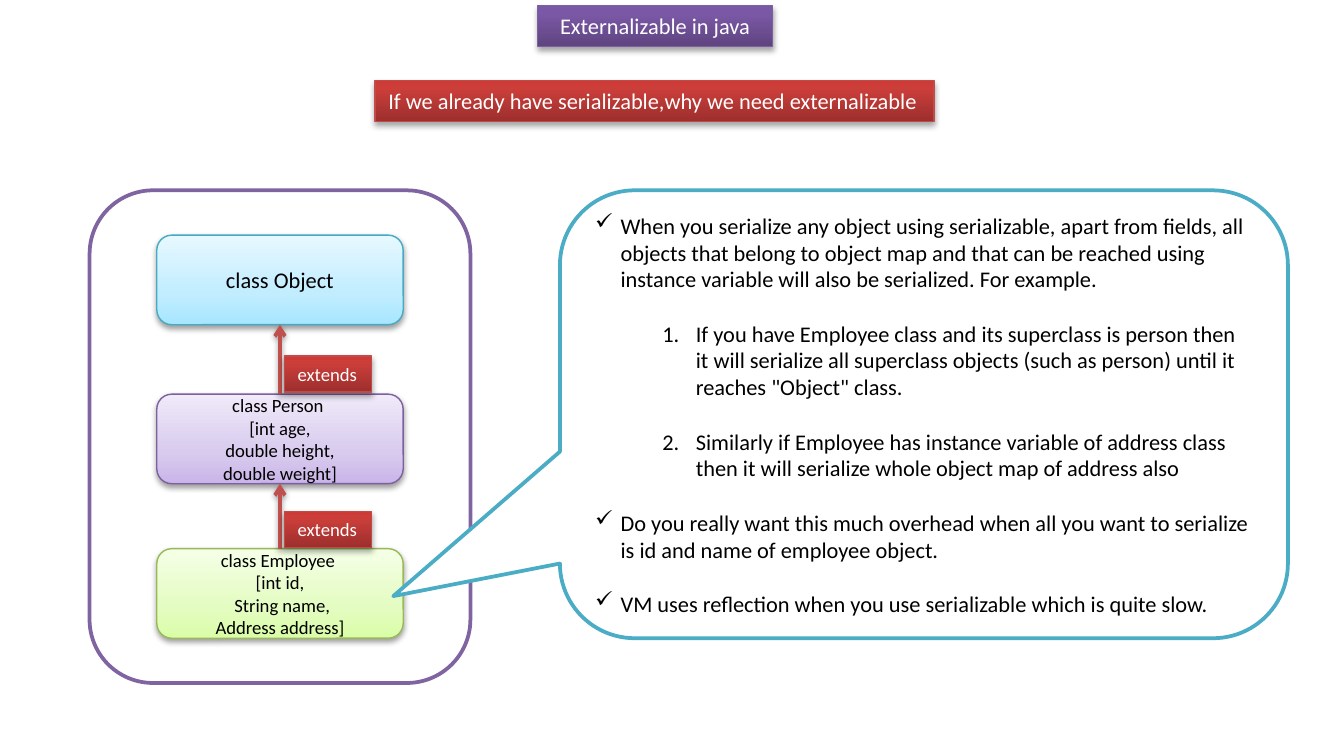
from dataclasses import dataclass
from lxml import etree
from pptx import Presentation
from pptx.dml.color import RGBColor
from pptx.enum.shapes import MSO_CONNECTOR, MSO_SHAPE
from pptx.enum.text import MSO_ANCHOR, MSO_AUTO_SIZE, PP_ALIGN
from pptx.oxml.ns import qn
from pptx.util import Inches, Pt

RECT = MSO_SHAPE.RECTANGLE
ROUND = MSO_SHAPE.ROUNDED_RECTANGLE
CALL = MSO_SHAPE.ROUNDED_RECTANGULAR_CALLOUT
STRAIGHT = MSO_CONNECTOR.STRAIGHT
LEFT, MID = PP_ALIGN.LEFT, PP_ALIGN.CENTER
TOP, CORE = MSO_ANCHOR.TOP, MSO_ANCHOR.MIDDLE
GROW = MSO_AUTO_SIZE.SHAPE_TO_FIT_TEXT

WIDE, HIGH = Inches(10), Inches(5.5)
COLS, ROWS = 120, 66
FONT = "Calibri"
INK = {
    "white": "FFFFFF", "black": "000000", "plum": "8064A2", "teal": "4BACC6",
    "red": "C0504D", "redline": "BF4C48", "plumline": "7D60A0",
    "blueline": "46AAC5", "greenline": "98B955",
}
FADES = {
    "plum": {0: "5F4480", 80: "7B58A6", 100: "7C57A8"},
    "red": {0: "9C2F2D", 80: "CB3E3A", 100: "CE3B37"},
    "green": {0: "DAFDA7", 35: "E4FCC2", 100: "F5FFE7"},
    "lilac": {0: "C9B5E8", 35: "D8CBEE", 100: "F0EAF9"},
    "blue": {0: "A7E6FF", 35: "C1EDFF", 100: "E7F8FF"},
}


@dataclass
class Box:
    col: float
    row: float
    cols: float
    rows: float
    line: str
    fade: str = ""
    form: int = RECT
    weight: float = 0.75
    text: tuple = ()
    size: float = 12
    ink: str = "white"
    align: int = LEFT
    anchor: int = TOP
    wrap: bool = True


@dataclass
class Point:
    text: str
    mark: str
    left: float
    hang: float
    level: int = 0
    gap: float = 14.65


def tint(name: str) -> RGBColor:
    return RGBColor.from_string(INK[name])


def add(root, tag: str, **attrs):
    return etree.SubElement(root, qn(tag), {k: str(v) for k, v in attrs.items()})


def shade(root, alpha: int, dist: int) -> None:
    cast = add(root, "a:outerShdw", blurRad=40000, dist=dist, dir=5400000, rotWithShape=0)
    add(add(cast, "a:srgbClr", val=INK["black"]), "a:alpha", val=alpha * 1000)


def blend(shape, name: str) -> None:
    shape.fill.gradient()
    grad = shape._element.spPr.find(qn("a:gradFill"))
    for child in list(grad):
        grad.remove(child)
    stops = add(grad, "a:gsLst")
    for pos, color in FADES[name].items():
        add(add(stops, "a:gs", pos=pos * 1000), "a:srgbClr", val=color)
    add(grad, "a:lin", ang=16200000, scaled=0)


def style(para, size: float, ink: str) -> None:
    for key, value in {"name": FONT, "size": Pt(size)}.items():
        setattr(para.font, key, value)
    para.font.color.rgb = tint(ink)


def draw(slide, box: Box):
    unit, step = WIDE / COLS, HIGH / ROWS
    shape = slide.shapes.add_shape(
        box.form, round(box.col * unit), round(box.row * step),
        round(box.cols * unit), round(box.rows * step))
    shape.line.color.rgb = tint(box.line)
    shape.line.width = Pt(box.weight)
    shape.shadow.inherit = False
    if box.fade:
        blend(shape, box.fade)
        root = shape._element.spPr.find(qn("a:effectLst"))
        shade(root, *((35, 23000) if box.form == RECT else (38, 20000)))
    else:
        shape.fill.solid()
        shape.fill.fore_color.rgb = tint("white")
    frame = shape.text_frame
    look = {"word_wrap": box.wrap, "vertical_anchor": box.anchor}
    if box.text and box.form == RECT:
        look["auto_size"] = GROW
    for key, value in look.items():
        setattr(frame, key, value)
    for i, line in enumerate(box.text):
        para = frame.add_paragraph() if i else frame.paragraphs[0]
        para.text = line
        para.alignment = box.align
        style(para, box.size, box.ink)
    return shape


def join(slide, low, high) -> None:
    link = slide.shapes.add_connector(STRAIGHT, 0, 0, 0, 0)
    link.begin_connect(low, 0)
    link.end_connect(high, 2)
    link.line.color.rgb = tint("red")
    link.line.width = Pt(2)
    add(link.line._get_or_add_ln(), "a:tailEnd", type="arrow")
    shade(add(link._element.spPr, "a:effectLst"), 38, 20000)


def tell(shape, points: list[Point]) -> None:
    frame = shape.text_frame
    count = 0
    for i, point in enumerate(points):
        para = frame.add_paragraph() if i else frame.paragraphs[0]
        para.text = point.text
        for key, value in {"alignment": LEFT, "level": point.level,
                           "space_before": Pt(point.gap)}.items():
            setattr(para, key, value)
        props = para._p.get_or_add_pPr()
        props.set("marL", str(Inches(point.left)))
        props.set("indent", str(-Inches(point.hang)))
        if point.mark == "1.":
            count += 1
            add(props, "a:buFont", typeface="+mj-lt")
            add(props, "a:buAutoNum", type="arabicPeriod", startAt=count)
        else:
            add(props, "a:buChar", char=point.mark)
        style(para, 12, "black")


def card(row: float, line: str, fade: str, text: tuple, size: float = 10) -> Box:
    return Box(14, row, 22, 8, line, fade, ROUND, text=text, size=size,
               ink="black", align=MID, anchor=CORE)


def check(text: str, gap: float = 14.65) -> Point:
    return Point(text, "✓", 0.19, 0.19, gap=gap)


def item(text: str) -> Point:
    return Point(text, "1.", 0.75, 0.25, 1)


def main() -> None:
    deck = Presentation()
    deck.slide_width, deck.slide_height = WIDE, HIGH
    slide = deck.slides.add_slide(deck.slide_layouts[6])
    draw(slide, Box(8, 17, 34, 44, "plum", form=ROUND, weight=2))
    draw(slide, Box(48, 0.5, 21, 3.64, "plumline", "plum",
                    text=("Externalizable in java",), align=MID))
    draw(slide, Box(33.5, 7.2, 49.9, 3.64, "redline", "red",
                    text=("If we already have serializable,why we need externalizable",)))
    cards = [draw(slide, box) for box in (
        card(49, "greenline", "green",
             ("class Employee ", "[int id,", " String name,", "Address address]")),
        card(35.2, "plumline", "lilac",
             ("class Person ", "[int age,", "double height,", "double weight]")),
        card(21, "blueline", "blue", ("class Object",), 12),
    )]
    for low, high in zip(cards, cards[1:]):
        join(slide, low, high)
    call = draw(slide, Box(50, 17, 65, 40, "teal", form=CALL, weight=2, anchor=CORE))
    for i, value in enumerate((-0.729, 0.406, 0.167)):
        call.adjustments[i] = value
    tell(call, [
        check("When you serialize any object using serializable, apart from fields, all objects that belong to object map and that can be reached using instance variable will also be serialized. For example.", 0),
        item('If you have Employee class and its superclass is person then it will serialize all superclass objects (such as person) until it reaches "Object" class.'),
        item("Similarly if Employee has instance variable of address class then it will serialize whole object map of address also"),
        check("Do you really want this much overhead when all you want to serialize is id and name of employee object."),
        check("VM uses reflection when you use serializable which is quite slow."),
    ])
    for row in (45.7, 31.8):
        draw(slide, Box(25.4, row, 7.8, 3.23, "redline", "red",
                        text=("extends",), size=10, wrap=False))
    deck.save("out.pptx")


if __name__ == "__main__":
    main()
